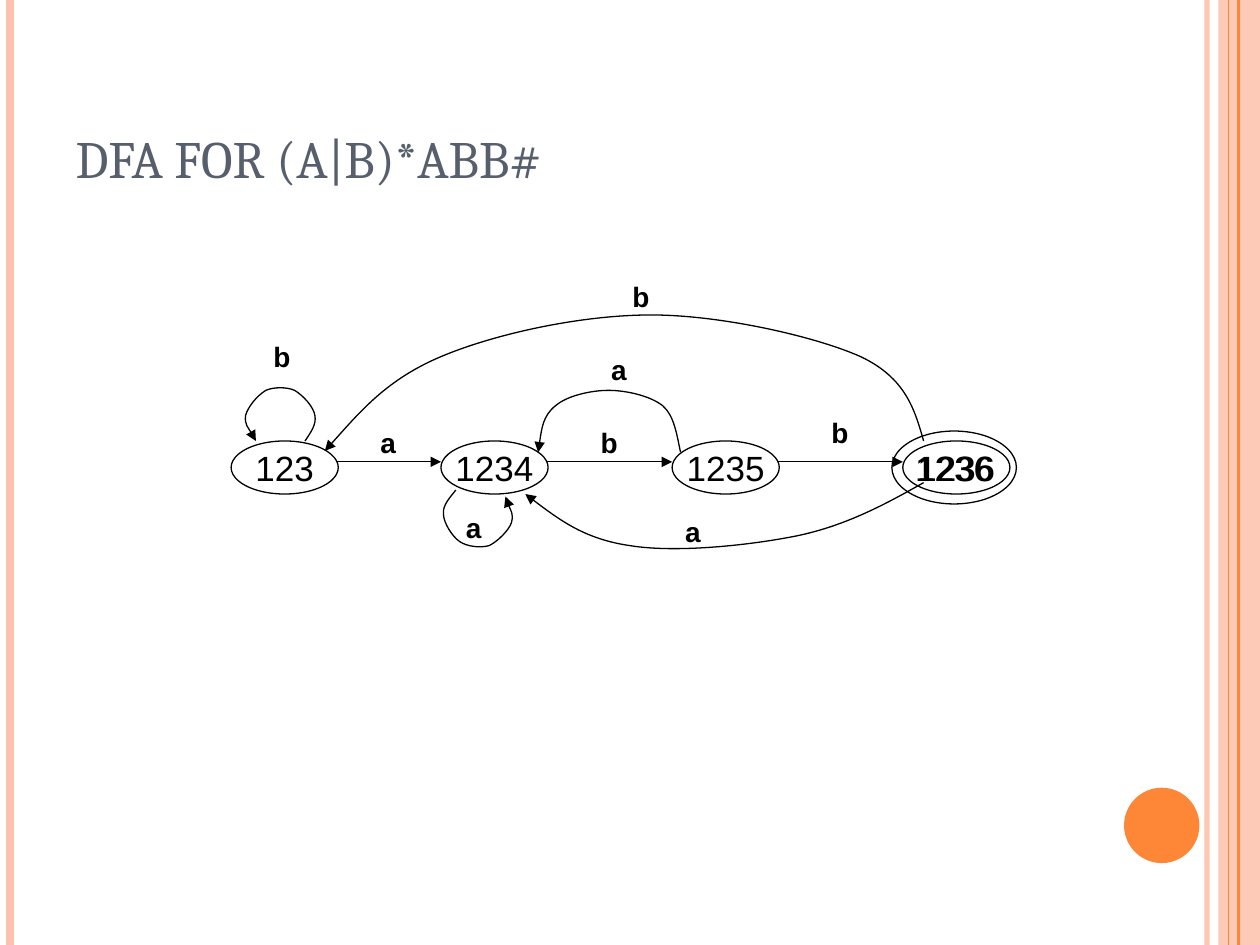
from pptx import Presentation
from pptx.dml.color import RGBColor
from pptx.enum.shapes import MSO_CONNECTOR as Connector, MSO_SHAPE as Shape
from pptx.enum.text import MSO_ANCHOR as Anchor, MSO_AUTO_SIZE as AutoSize, PP_ALIGN as Align
from pptx.oxml.ns import qn
from pptx.util import Cm, Pt
from lxml.etree import SubElement

# Content, lengths in cm
WIDTH, HEIGHT = 25.4, 19.05
BLACK, ORANGE, PEACH, SLATE = "000000", "FE8637", "FEC3AE", "575F6D"
TITLE = "DFA FOR (A|B)*ABB#"

# Vertical stripes: x, colour, points, opacity in percent
STRIPES = [(24.33, PEACH, 3, 93), (0.21, PEACH, 4.5, 100),
           (24.97, ORANGE, 1.5, 100), (24.77, ORANGE, 0.75, 100)]

STATES = [("123", 4.66), ("1234", 8.89), ("1235", 13.55), ("1236", 18.2)]
STATE_TOP, STATE_WIDTH, STATE_HEIGHT = 8.89, 2.16, 1.07
ARROW_Y, ARROW_OFFSET = 9.31, 2.12
FINAL_RING = (17.98, 8.69, 2.51, 1.47)

# Each curve: start point, then three Bezier points per segment
CURVES = {
    "123 to 123": [
        (6.15, 8.89), (6.27, 8.71), (6.38, 8.56), (6.35, 8.38),
        (6.32, 8.2), (6.12, 7.98), (5.94, 7.87), (5.79, 7.8), (5.51, 7.8), (5.36, 7.87),
        (5.18, 7.98), (5.0, 8.2), (4.95, 8.38), (4.93, 8.56), (5.13, 8.81), (5.16, 8.89)],
    "1234 to 1234": [
        (9.19, 9.88), (9.07, 10.03), (8.92, 10.19), (8.94, 10.36),
        (8.94, 10.54), (9.12, 10.82), (9.27, 10.92), (9.42, 11.02), (9.68, 11.05), (9.86, 11.0),
        (10.03, 10.92), (10.26, 10.69), (10.31, 10.54), (10.36, 10.36), (10.21, 10.11), (10.19, 10.01)],
    "1235 to 1234": [
        (13.72, 9.12), (13.64, 8.74), (13.59, 8.38), (13.36, 8.18),
        (13.11, 7.98), (12.62, 7.87), (12.27, 7.87), (11.91, 7.87), (11.43, 7.98), (11.2, 8.18),
        (10.95, 8.38), (10.9, 8.74), (10.85, 9.12)],
    "1236 to 123": [
        (18.62, 8.89), (18.44, 8.26), (18.26, 7.62), (17.35, 7.19),
        (16.43, 6.78), (14.53, 6.35), (13.13, 6.35), (11.71, 6.35), (9.98, 6.73), (8.89, 7.19),
        (7.8, 7.65), (7.19, 8.38), (6.55, 9.09)],
    "1236 to 1234": [
        (18.62, 9.73), (17.86, 10.16), (17.07, 10.59), (16.08, 10.8),
        (15.09, 11.0), (13.61, 11.15), (12.7, 11.0), (11.79, 10.87), (11.18, 10.41), (10.59, 9.96)],
}
LABELS = [("b", 5.26, 6.73), ("b", 12.5, 5.51), ("b", 16.51, 8.26), ("b", 11.86, 8.46),
          ("a", 7.42, 8.46), ("a", 12.07, 6.99), ("a", 13.56, 10.24), ("a", 9.14, 10.16)]


def paint(color_format, color, opacity=100):
    color_format.rgb = RGBColor.from_string(color)
    if opacity < 100:
        rgb = color_format._xFill.find(qn("a:srgbClr"))
        SubElement(rgb, qn("a:alpha"), val=str(opacity * 1000))


def draw_line(line, color, points, opacity=100, arrow=False):
    line.width = Pt(points)
    line.fill.solid()
    paint(line.fill.fore_color, color, opacity)
    if arrow:
        SubElement(line._get_or_add_ln(), qn("a:tailEnd"), type="triangle")


def write(paragraph, text, size, font_name, color, bold=False):
    run = paragraph.add_run()
    run.text = text
    run.font.size, run.font.name, run.font.bold = Pt(size), font_name, bold
    paint(run.font.color, color)


def add_connector(slide, x1, y1, x2, y2, *style, **options):
    connector = slide.shapes.add_connector(
        Connector.STRAIGHT, Cm(x1), Cm(y1), Cm(x2), Cm(y2))
    draw_line(connector.line, *style, **options)
    SubElement(connector._element.spPr, qn("a:effectLst"))


def add_block(slide, kind, box, color, opacity=100):
    shape = slide.shapes.add_shape(kind, *map(Cm, box))
    shape.shadow.inherit = False
    shape.fill.solid()
    paint(shape.fill.fore_color, color, opacity)
    shape.line.fill.background()


def add_state(slide, name, box):
    shape = slide.shapes.add_shape(Shape.OVAL, *map(Cm, box))
    shape.shadow.inherit = False
    shape.fill.background()
    draw_line(shape.line, BLACK, 0.75)
    frame = shape.text_frame
    frame.word_wrap = False
    frame.vertical_anchor = Anchor.MIDDLE
    frame.paragraphs[0].alignment = Align.CENTER
    write(frame.paragraphs[0], name, 20, "Arial", BLACK)


def add_curve(slide, points):
    start, *others = [(Cm(x), Cm(y)) for x, y in points]
    builder = slide.shapes.build_freeform(*start)
    builder.add_line_segments(others, close=False)
    shape = builder.convert_to_shape()
    # Gather every three line points into one Bezier segment
    outline = next(shape._element.iter(qn("a:path")))
    steps = outline.findall(qn("a:lnTo"))
    for first in range(0, len(steps), 3):
        bezier = SubElement(outline, qn("a:cubicBezTo"))
        for step in steps[first:first + 3]:
            bezier.append(step[0])
            outline.remove(step)
    shape.shadow.inherit = False
    shape.fill.background()
    draw_line(shape.line, BLACK, 0.75, arrow=True)


def main():
    presentation = Presentation()
    presentation.slide_width, presentation.slide_height = Cm(WIDTH), Cm(HEIGHT)
    slide = presentation.slides.add_slide(presentation.slide_layouts[5])

    # Side decoration
    for x, color, points, opacity in STRIPES:
        add_connector(slide, x, 0, x, HEIGHT, color, points, opacity)
    add_block(slide, Shape.RECTANGLE, (24.56, 0, 0.84, HEIGHT), PEACH, 87)
    # The thin stripes stay visible above the translucent band
    for x, color, points, opacity in STRIPES[2:]:
        slide.shapes._spTree.append(slide.shapes._spTree.findall(qn("p:cxnSp"))[2])
    add_block(slide, Shape.OVAL, (22.66, 15.88, 1.52, 1.52), ORANGE)

    # Title
    title = slide.shapes.title
    title.left, title.top, title.width, title.height = map(Cm, (1.27, 0.76, 20.75, 3.18))
    frame = title.text_frame
    frame.auto_size, frame.vertical_anchor = AutoSize.NONE, Anchor.BOTTOM
    frame.paragraphs[0].alignment = Align.LEFT
    write(frame.paragraphs[0], TITLE, 30, "Cambria", SLATE)

    # States, with a second ring around the final one
    for name, left in STATES:
        add_state(slide, name, (left, STATE_TOP, STATE_WIDTH, STATE_HEIGHT))
    add_state(slide, STATES[-1][0], FINAL_RING)

    # Transitions
    for (_, left), (_, target) in zip(STATES, STATES[1:]):
        add_connector(slide, left + ARROW_OFFSET, ARROW_Y, target, ARROW_Y,
                      BLACK, 0.75, arrow=True)
    for points in CURVES.values():
        add_curve(slide, points)

    # Transition labels
    for text, left, top in LABELS:
        label = slide.shapes.add_textbox(Cm(left), Cm(top), Cm(0.84), Cm(0.94))
        label.text_frame.word_wrap = False
        label.text_frame.auto_size = AutoSize.SHAPE_TO_FIT_TEXT
        write(label.text_frame.paragraphs[0], text, 16, "Arial", BLACK, bold=True)

    presentation.save("out.pptx")


if __name__ == "__main__":
    main()
